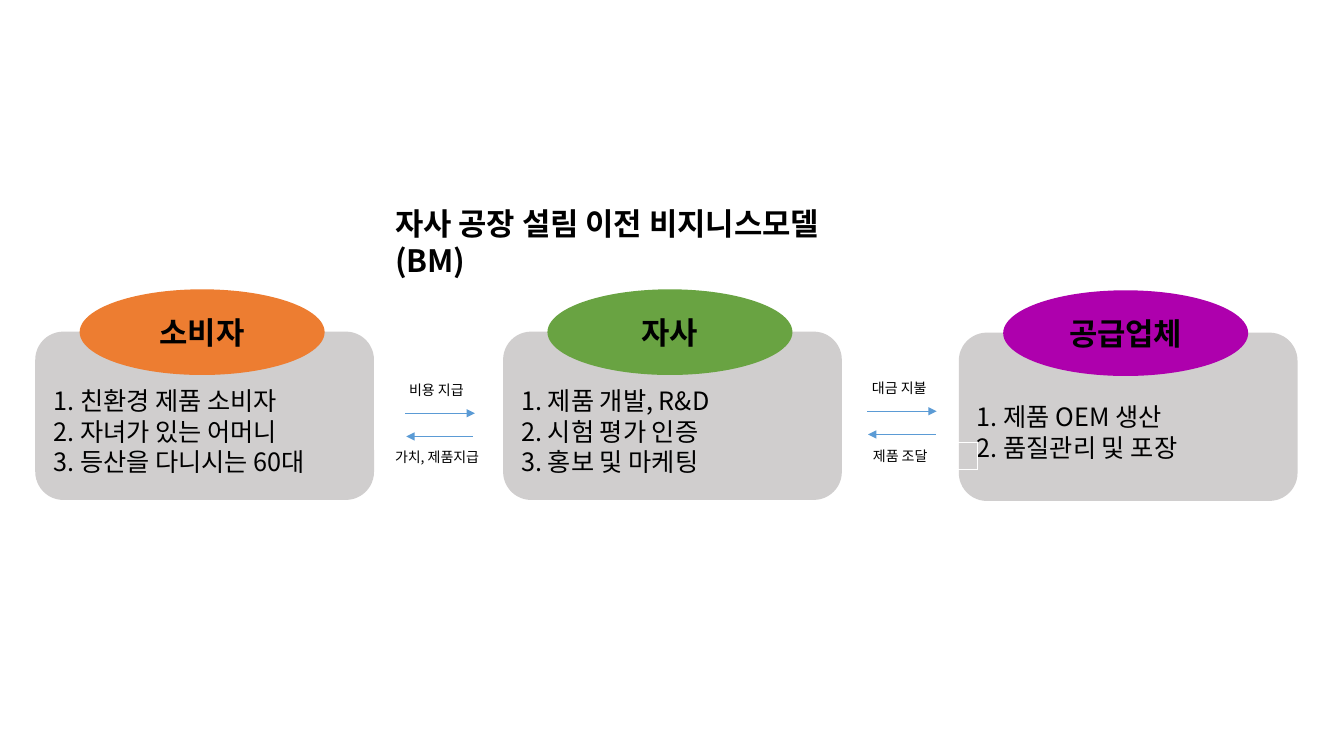
from pptx import Presentation
from pptx.dml.color import RGBColor
from pptx.enum.shapes import MSO_CONNECTOR as Conn, MSO_SHAPE as Shape
from pptx.enum.text import MSO_ANCHOR as Anchor, PP_ALIGN as Align
from pptx.oxml.ns import qn
from pptx.util import Pt
from lxml.etree import SubElement

PX = 9144
THEME = {
    "font": "Noto Sans CJK KR",
    "ink": "000000", "card": "D0CECE", "arrow": "5B9BD5", "edge": "FFFFFF",
    "buyer": "ED7D31", "firm": "69A342", "maker": "AE00AD",
    "head": 22, "body": 18, "note": 10,
}


def tint(name):
    return RGBColor.from_string(THEME[name])


def write(shape, text, size, bold=False, align=Align.LEFT, anchor=Anchor.MIDDLE):
    frame = shape.text_frame
    frame.text = text
    frame.word_wrap = True
    frame.vertical_anchor = anchor
    for para in frame.paragraphs:
        para.alignment = align
        for run in para.runs:
            run.font.name = THEME["font"]
            run.font.size = Pt(THEME[size])
            run.font.bold = bold
            run.font.color.rgb = tint("ink")
            SubElement(run.font._element, qn("a:ea")).set("typeface", THEME["font"])


deck = Presentation()
deck.slide_width, deck.slide_height = 1333 * PX, 750 * PX
slide = deck.slides.add_slide(deck.slide_layouts[6])
shapes = slide.shapes

roles = [
    (35, 329, "buyer", "소비자", ["친환경 제품 소비자", "자녀가 있는 어머니", "등산을 다니시는 60대"]),
    (499, 329, "firm", "자사", ["제품 개발, R&D", "시험 평가 인증", "홍보 및 마케팅"]),
    (951, 330, "maker", "공급업체", ["제품 OEM 생산", "품질관리 및 포장"]),
]
for left, top, hue, name, tasks in roles:
    card = shapes.add_shape(Shape.ROUNDED_RECTANGLE, left * PX, top * PX, 336 * PX, 167 * PX)
    oval = shapes.add_shape(Shape.OVAL, (left + 44) * PX, (top - 42) * PX, 243 * PX, 85 * PX)
    for shape, fill in ((card, "card"), (oval, hue)):
        shape.shadow.inherit = False
        shape.fill.solid()
        shape.fill.fore_color.rgb = tint(fill)
        shape.line.fill.background()
    card.text_frame.margin_top = 35 * PX
    lines = [f"{num}. {task}" for num, task in enumerate(tasks, 1)]
    write(card, "\n".join(lines), "body")
    write(oval, name, "head", bold=True, align=Align.CENTER)

arrows = [
    (402, 471, 410), (469, 403, 433),
    (860, 929, 408), (928, 861, 431),
]
for start, end, top in arrows:
    arrow = shapes.add_connector(Conn.STRAIGHT, start * PX, top * PX, end * PX, top * PX)
    arrow.line.color.rgb = tint("arrow")
    arrow.line.width = Pt(0.5)
    SubElement(arrow.line._get_or_add_ln(), qn("a:tailEnd")).set("type", "triangle")
    SubElement(arrow._element.spPr, qn("a:effectLst"))

notes = [
    (396, 374, 84, "비용 지급", False),
    (382, 440, 114, "가치, 제품지급", True),
    (855, 372, 84, "대금 지불", True),
    (856, 439, 114, "제품 조달", True),
]
for left, top, width, text, edged in notes:
    note = shapes.add_textbox(left * PX, top * PX, width * PX, 27 * PX)
    if edged:
        note.line.color.rgb = tint("edge")
        note.line.width = Pt(0)
    write(note, text, "note", anchor=Anchor.TOP)

title = shapes.add_textbox(382 * PX, 198 * PX, 457 * PX, 47 * PX)
write(title, "자사 공장 설림 이전 비지니스모델(BM)", "head", bold=True, anchor=Anchor.TOP)

deck.save("out.pptx")
